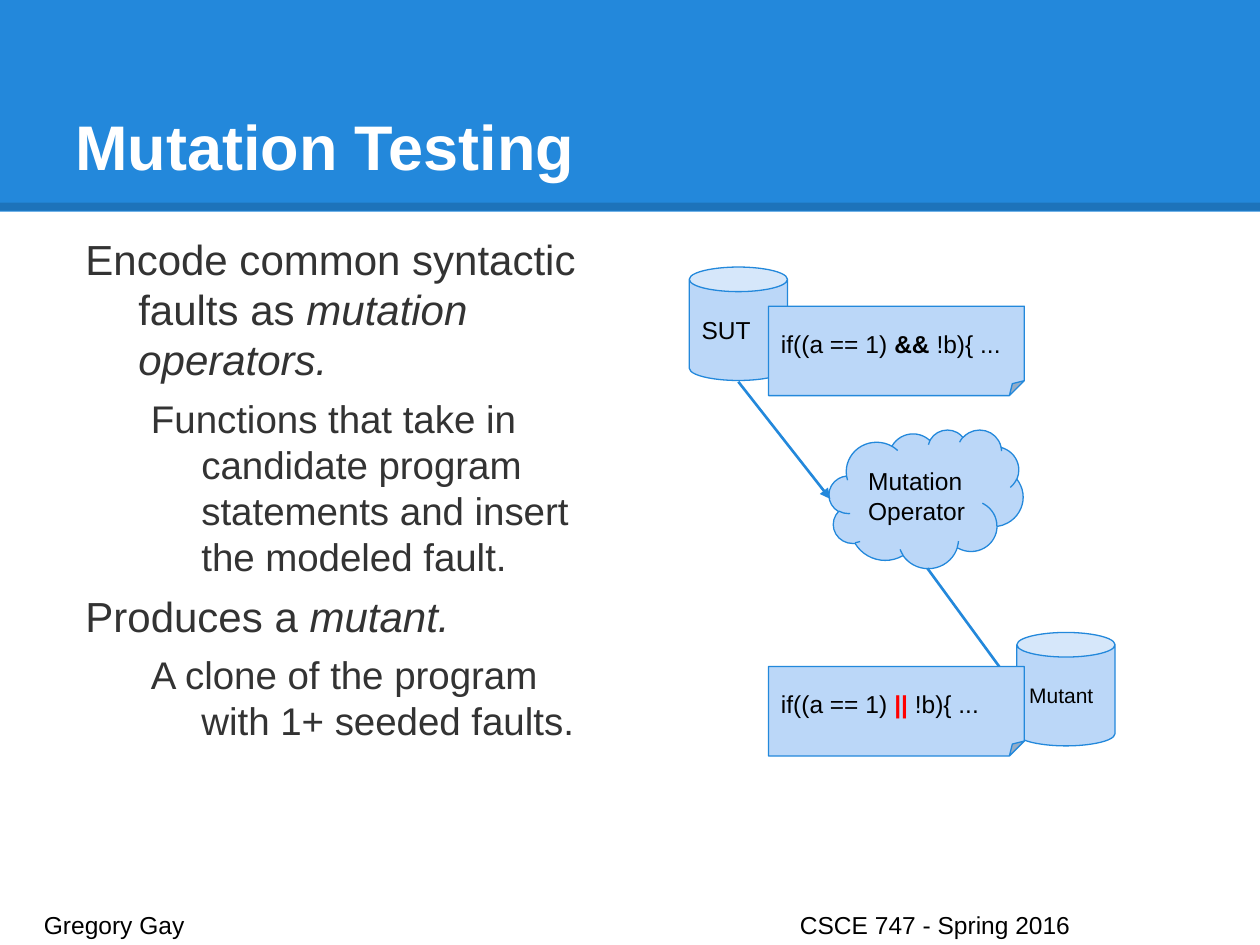
from lxml import etree
from pptx import Presentation
from pptx.dml.color import RGBColor
from pptx.enum.shapes import MSO_CONNECTOR, MSO_SHAPE
from pptx.enum.text import MSO_ANCHOR, PP_ALIGN
from pptx.oxml.ns import qn
from pptx.util import Inches, Pt

LINE = MSO_CONNECTOR.STRAIGHT
RECT, CAN = MSO_SHAPE.RECTANGLE, MSO_SHAPE.CAN
CLOUD, NOTE = MSO_SHAPE.CLOUD, MSO_SHAPE.FOLDED_CORNER
TOP, MID, LOW = MSO_ANCHOR.TOP, MSO_ANCHOR.MIDDLE, MSO_ANCHOR.BOTTOM
LEFT = PP_ALIGN.LEFT

BLUE, PALE, GREY = "2388DB", "BBD7F8", "333333"
WHITE, BLACK, RED = "FFFFFF", "000000", "FF0000"
BOLD, SLANT = {"bold": True}, {"italic": True}
PAD = Inches(0.1)
FRAME = {"word_wrap": True, "margin_left": PAD, "margin_right": PAD,
         "margin_top": PAD, "margin_bottom": PAD}


def color(code):
    """Turn a hex string into a colour."""
    return RGBColor.from_string(code)


def apply(item, form):
    """Set each attribute named in a dict."""
    for name, value in form.items():
        setattr(item, name, value)


def child(node, tag, **attrs):
    """Add a DrawingML element to a node."""
    return etree.SubElement(node, qn(f"a:{tag}"), attrs)


def write(para, runs, size, tone=BLACK):
    """Fill a paragraph with (text, format) runs."""
    para.alignment = LEFT
    for text, form in runs:
        run = para.add_run()
        run.text = text
        form = {"name": "Arial", "size": Pt(size), **form}
        run.font.color.rgb = color(form.pop("tone", tone))
        apply(run.font, form)


def label(slide, box, anchor):
    """Add a wrapping text box and return its frame."""
    frame = slide.shapes.add_textbox(*map(Inches, box)).text_frame
    apply(frame, {**FRAME, "vertical_anchor": anchor})
    return frame


def block(slide, kind, box, fill, edge=None):
    """Add a flat filled shape with an optional outline."""
    shape = slide.shapes.add_shape(kind, *map(Inches, box))
    shape.shadow.inherit = False
    shape.fill.solid()
    shape.fill.fore_color.rgb = color(fill)
    if edge:
        shape.line.color.rgb = color(edge)
        shape.line.width = Pt(0.75)
    else:
        shape.line.fill.background()
    return shape


def node(slide, kind, box, runs, size=14):
    """Add a labelled part of the diagram."""
    frame = block(slide, kind, box, PALE, BLUE).text_frame
    apply(frame, {**FRAME, "vertical_anchor": MID})
    write(frame.paragraphs[0], runs, size)


def rule(slide, start, end, tone, width):
    """Add a straight line and return its outline element."""
    line = slide.shapes.add_connector(LINE, *map(Inches, start + end))
    line.line.color.rgb = color(tone)
    line.line.width = Pt(width)
    child(line._element.spPr, "effectLst")
    return line._element.spPr.find(qn("a:ln"))


def arrow(slide, start, end):
    """Add a line with an arrowhead at its end."""
    child(rule(slide, start, end, BLUE, 1.5), "tailEnd", type="triangle")


def header(slide, box):
    """Place the title band with its shaded lower edge."""
    left, top, width, height = box
    block(slide, RECT, box, BLUE)
    base = top + height - 0.04
    edge = rule(slide, (left, base), (left + width, base), BLACK, 4.5)
    child(edge.find(".//" + qn("a:srgbClr")), "alpha", val="15000")
    frame = label(slide, (left + 0.5, top + 0.3, width - 1, 1.25), LOW)
    write(frame.paragraphs[0], [("Mutation Testing", BOLD)], 36, WHITE)


def body(slide, box):
    """Place the two-level outline."""
    items = [
        (0, [("Encode common syntactic faults as ", {}),
             ("mutation operators.", SLANT)]),
        (1, [("Functions that take in candidate program statements "
              "and insert the modeled fault.", {})]),
        (0, [("Produces a ", {}), ("mutant.", SLANT)]),
        (1, [("A clone of the program with 1+ seeded faults.", {})]),
    ]
    levels = [(0.5, -0.42, 24), (1, -0.4, 22)]
    frame = label(slide, box, TOP)
    for i, (level, runs) in enumerate(items):
        para = frame.add_paragraph() if i else frame.paragraphs[0]
        left, hang, size = levels[level]
        apply(para, {"level": level, "space_before": Pt(6 if i else 0)})
        props = para._p.get_or_add_pPr()
        props.set("marL", str(Inches(left)))
        props.set("indent", str(Inches(hang)))
        write(para, runs, size, GREY)


def graph(slide, box):
    """Place the flow from program to mutant."""
    x, y = box[:2]
    can, note = (0.78, 0.9), (2.03, 0.71)
    node(slide, CAN, (x, y, *can), [("SUT", {})])
    node(slide, CAN, (x + 2.6, y + 2.9, *can), [("Mutant", {})], 12)
    node(slide, CLOUD, (x + 1.11, y + 1.29, 1.54, 1.1),
         [("Mutation Operator", {})])
    arrow(slide, (x + 0.39, y + 0.91), (x + 1.12, y + 1.84))
    arrow(slide, (x + 1.89, y + 2.39), (x + 2.6, y + 3.36))
    for drop, sign, form in [(0.31, "&&", BOLD),
                             (3.17, "||", {**BOLD, "tone": RED})]:
        runs = [("if((a == 1) ", {}), (sign, form), (" !b){ ...", {})]
        node(slide, NOTE, (x + 0.63, y + drop, *note), runs)


def footer(slide, box):
    """Place the author and the course on one tabbed line."""
    para = label(slide, box, TOP).paragraphs[0]
    tabs = child(para._p.get_or_add_pPr(), "tabLst")
    child(tabs, "tab", pos=str(Inches(6)), algn="l")
    write(para, [("Gregory Gay\tCSCE 747 - Spring 2016", {})], 14)


def main():
    """Build and save the slide."""
    deck = Presentation()
    apply(deck, {"slide_width": Inches(10), "slide_height": Inches(7.5)})
    slide = deck.slides.add_slide(deck.slide_layouts[6])
    header(slide, (0, 0, 10, 1.68))
    body(slide, (0.5, 1.75, 4.37, 5.43))
    footer(slide, (0.25, 7.12, 9.51, 0.3))
    graph(slide, (5.47, 2.12, 3.38, 3.88))
    deck.save("out.pptx")


if __name__ == "__main__":
    main()
